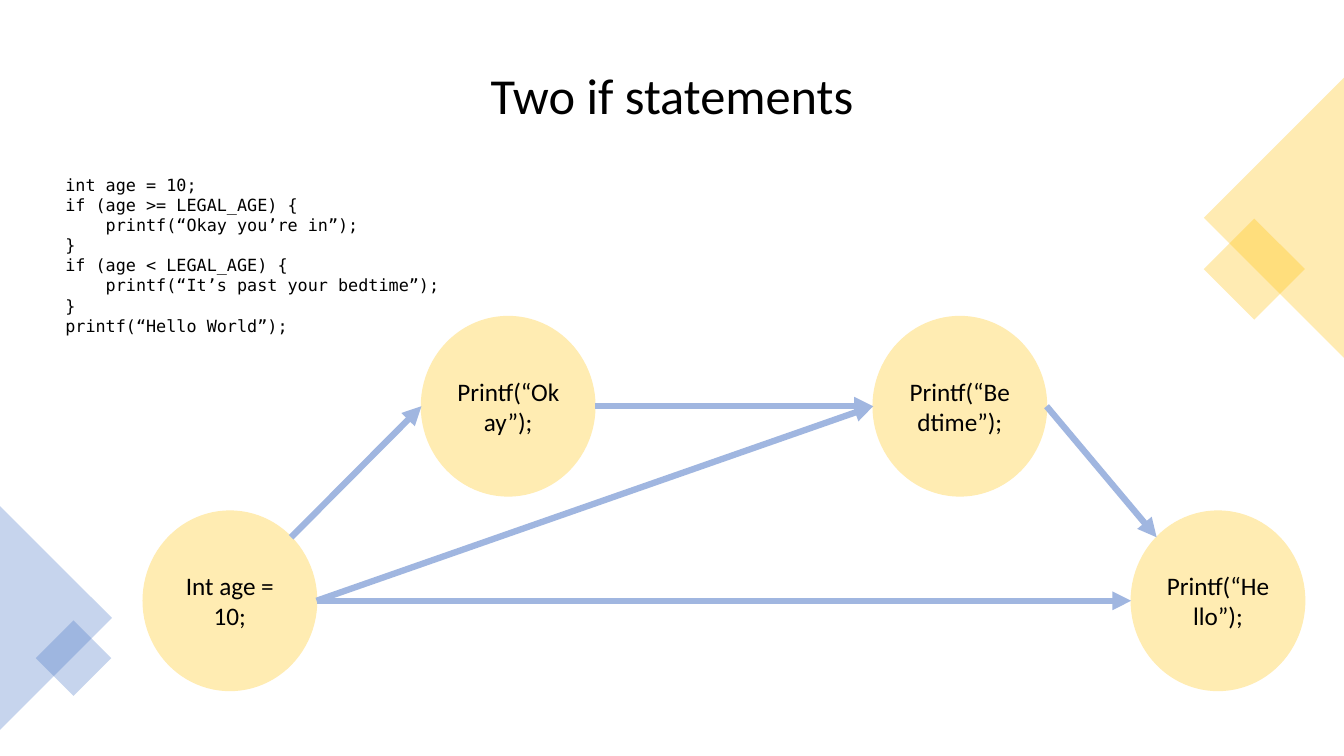
from dataclasses import dataclass
from math import cos, radians, sin

from lxml import etree
from pptx import Presentation
from pptx.dml.color import RGBColor
from pptx.enum.shapes import MSO_CONNECTOR as CONN, MSO_SHAPE as SHAPE
from pptx.enum.text import MSO_ANCHOR as ANCHOR, PP_ALIGN as ALIGN
from pptx.oxml.ns import qn
from pptx.util import Inches, Pt


@dataclass(frozen=True)
class Theme:
    text: str = "000000"
    gold: str = "FFC000"
    blue: str = "4472C4"
    node: str = "FFECB2"
    arrow: str = "A0B6E0"
    opacity: int = 30
    font: str = "Calibri"
    mono: str = "DejaVu Sans Mono"
    title_size: int = 36
    node_size: int = 18
    code_size: int = 12
    arrow_width: float = 4.5


THEME = Theme()

CODE = """int age = 10;
if (age >= LEGAL_AGE) {
    printf(“Okay you’re in”);
}
if (age < LEGAL_AGE) {
    printf(“It’s past your bedtime”);
}
printf(“Hello World”);"""

# Flow chart: node name -> (left, top, text), relative to the chart box
NODE_W, NODE_H = 1.72, 1.78
NODES = {
    "start": (0, 1.93, "Int age = 10;"),
    "okay": (2.76, 0, "Printf(“Okay”);"),
    "bedtime": (7.24, 0, "Printf(“Bedtime”);"),
    "hello": (9.8, 1.93, "Printf(“Hello”);"),
}
# Angles in degrees on the node's rim, counter-clockwise from the right
RIGHT, UPPER_RIGHT, UPPER_LEFT, LEFT = 0, 45, 135, 180
ARROWS = [
    ("start", UPPER_RIGHT, "okay", LEFT),
    ("start", RIGHT, "bedtime", LEFT),
    ("okay", RIGHT, "bedtime", LEFT),
    ("start", RIGHT, "hello", LEFT),
    ("bedtime", RIGHT, "hello", UPPER_LEFT),
]


def rgb(color):
    return RGBColor.from_string(color)


def write(tf, text, size, font, align):
    tf.word_wrap = True
    tf.text = text
    for p in tf.paragraphs:
        p.alignment = align
        for r in p.runs:
            r.font.size = Pt(size)
            r.font.name = font
            r.font.color.rgb = rgb(THEME.text)


def add_filled(slide, kind, left, top, width, height, color):
    sp = slide.shapes.add_shape(kind, Inches(left), Inches(top),
                                Inches(width), Inches(height))
    sp.shadow.inherit = False
    sp.fill.solid()
    sp.fill.fore_color.rgb = rgb(color)
    return sp


def add_title(slide, left, top, width, height):
    sp = slide.shapes.add_textbox(Inches(left), Inches(top), Inches(width), Inches(height))
    tf = sp.text_frame
    write(tf, "Two if statements", THEME.title_size, THEME.font, ALIGN.CENTER)
    tf.vertical_anchor = ANCHOR.MIDDLE
    tf.paragraphs[0].line_spacing = 0.9


def add_code(slide, left, top, width, height):
    sp = slide.shapes.add_textbox(Inches(left), Inches(top), Inches(width), Inches(height))
    write(sp.text_frame, CODE, THEME.code_size, THEME.mono, ALIGN.LEFT)


def add_corner(slide, edge, middle, depth, rotation, square, color):
    """Triangle resting on a side edge, with a small diamond (centre x, y, side)."""
    center_x = edge + depth / 2 if rotation == 90 else edge - depth / 2
    x, y, side = square
    parts = [
        (SHAPE.ISOSCELES_TRIANGLE, center_x, middle, 2 * depth, depth, rotation),
        (SHAPE.RECTANGLE, x, y, side, side, 45),
    ]
    for kind, cx, cy, w, h, angle in parts:
        sp = add_filled(slide, kind, cx - w / 2, cy - h / 2, w, h, color)
        sp.rotation = angle
        sp.line.fill.background()
        clr = sp.fill._xPr.find(qn("a:solidFill"))[0]
        etree.SubElement(clr, qn("a:alpha"), val=str(THEME.opacity * 1000))


def add_node(slide, left, top, text):
    sp = add_filled(slide, SHAPE.OVAL, left, top, NODE_W, NODE_H, THEME.node)
    sp.line.color.rgb = rgb(THEME.node)
    sp.line.width = Pt(1)
    sp.text_frame.vertical_anchor = ANCHOR.MIDDLE
    write(sp.text_frame, text, THEME.node_size, THEME.font, ALIGN.CENTER)


def add_arrow(slide, start, end):
    x1, y1, x2, y2 = (Inches(v) for v in (*start, *end))
    cx = slide.shapes.add_connector(CONN.STRAIGHT, x1, y1, x2, y2)
    cx.line.color.rgb = rgb(THEME.arrow)
    cx.line.width = Pt(THEME.arrow_width)
    etree.SubElement(cx.line._get_or_add_ln(), qn("a:tailEnd"), type="triangle")
    etree.SubElement(cx._element.spPr, qn("a:effectLst"))


def add_flow(slide, left, top):
    def rim(name, angle):
        x, y, _ = NODES[name]
        return (left + x + NODE_W / 2 * (1 + cos(radians(angle))),
                top + y + NODE_H / 2 * (1 - sin(radians(angle))))

    for x, y, text in NODES.values():
        add_node(slide, left + x, top + y, text)
    for source, out_angle, target, in_angle in ARROWS:
        add_arrow(slide, rim(source, out_angle), rim(target, in_angle))


def main():
    prs = Presentation()
    prs.slide_width, prs.slide_height = Inches(13.33), Inches(7.5)
    slide = prs.slides.add_slide(prs.slide_layouts[6])

    # Corner decoration
    add_corner(slide, 13.33, 2.16, 1.39, 270, (12.44, 2.67, 0.71), THEME.gold)
    add_corner(slide, 0, 6.13, 1.11, 90, (0.73, 6.53, 0.53), THEME.blue)

    # Content
    add_title(slide, 0.7, 0.35, 11.93, 1.24)
    add_code(slide, 0.55, 1.68, 5.56, 1.72)
    add_flow(slide, 1.42, 3.14)

    prs.save("out.pptx")


if __name__ == "__main__":
    main()
